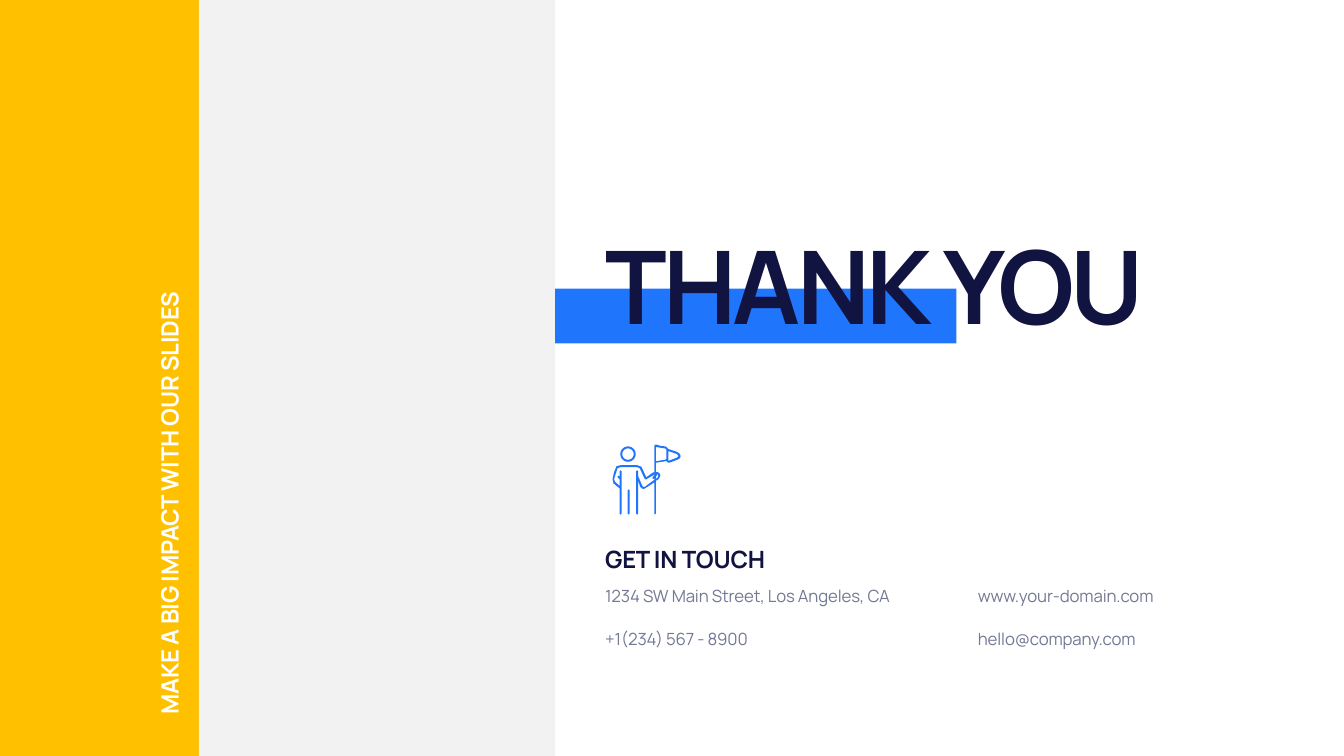
from math import cos, pi, sin

from pptx import Presentation
from pptx.dml.color import RGBColor
from pptx.enum.shapes import MSO_SHAPE as Shape
from pptx.enum.text import MSO_ANCHOR as Anchor, MSO_AUTO_SIZE as AutoSize, PP_ALIGN as Align
from pptx.util import Pt

WIDTH, HEIGHT = 1919.52, 1080
YELLOW, GREY, BLUE, NAVY, SLATE, WHITE = (
    "FFC000", "F2F2F2", "2075FD", "111340", "747994", "FFFFFF")
BAND_WIDTH, PANEL_WIDTH = 284, 509
MARGIN = 857.1

TITLE = {"size": Pt(145), "bold": True, "color": NAVY, "spacing": -5}
HEADING = {"size": Pt(34), "bold": True, "color": NAVY, "spacing": -0.3}
SIDE_HEADING = {**HEADING, "color": WHITE}
DETAIL = {"size": Pt(24), "color": SLATE, "spacing": -0.2}

# Flag bearer outlines, on a grid 135 wide and 139 high
BODY_AND_FLAG = (
    (86, 0), (91, 1), (92, 2), (106, 4), (111, 9), (129, 15), (134, 19), (135, 23),
    (134, 27), (129, 30), (113, 36), (111, 36), (109, 35), (107, 33), (106, 33), (87, 36),
    (86, 36), (86, 54), (90, 55), (93, 57), (95, 61), (94, 64), (91, 69), (86, 72),
    (86, 137), (84, 139), (83, 137), (83, 75), (66, 86), (62, 88), (60, 88), (55, 84),
    (51, 72), (51, 137), (49, 139), (47, 137), (47, 53), (49, 51), (51, 53), (51, 63),
    (59, 82), (61, 84), (64, 84), (83, 70), (83, 67), (81, 68), (80, 68), (79, 67),
    (80, 64), (84, 60), (84, 59), (67, 69), (65, 69), (64, 68), (58, 56), (57, 53),
    (54, 47), (49, 45), (16, 45), (10, 47), (7, 56), (3, 69), (5, 74), (14, 82),
    (14, 69), (10, 65), (10, 62), (12, 62), (14, 64), (14, 53), (16, 51), (18, 53),
    (18, 137), (16, 139), (14, 137), (14, 87), (2, 77), (0, 69), (3, 55), (8, 43),
    (16, 41), (49, 41), (57, 44), (61, 52), (67, 65), (81, 55), (83, 55), (83, 3), (84, 1))
INNER_LEG = ((32, 89), (34, 91), (34, 137), (32, 139), (30, 137), (30, 91))
GRIP = ((88, 58), (88, 61), (86, 64), (86, 68), (89, 66), (91, 63), (90, 60))
FLAG = ((87, 5), (86, 5), (86, 33), (87, 33), (105, 30), (107, 28), (107, 10), (105, 8))
FLAG_TAIL = ((111, 13), (111, 32), (112, 32), (128, 26), (131, 23), (128, 19))


def color(hex_value):
    return RGBColor.from_string(hex_value)


def circle(center_x, center_y, radius, steps=36):
    angles = [2 * pi * step / steps for step in range(steps)]
    return [(center_x + radius * cos(angle), center_y + radius * sin(angle))
            for angle in angles]


def style_fill(shape, fill):
    shape.shadow.inherit = False
    shape.fill.solid()
    shape.fill.fore_color.rgb = color(fill)
    shape.line.fill.background()


def add_rectangle(slide, box, fill):
    style_fill(slide.shapes.add_shape(Shape.RECTANGLE, *map(Pt, box)), fill)


def add_text(slide, box, text, style, anchor=Anchor.BOTTOM, rotation=0, **paragraph_values):
    shape = slide.shapes.add_textbox(*map(Pt, box))
    shape.rotation = rotation
    frame = shape.text_frame
    frame.word_wrap = True
    frame.auto_size = AutoSize.SHAPE_TO_FIT_TEXT
    frame.vertical_anchor = anchor
    paragraph = frame.paragraphs[0]
    for name, value in paragraph_values.items():
        setattr(paragraph, name, value)
    run = paragraph.add_run()
    run.text = text
    run.font.name = "Manrope"
    for name, value in style.items():
        if name == "color":
            run.font.color.rgb = color(value)
        elif name == "spacing":
            run._r.get_or_add_rPr().set("spc", str(round(value * 100)))
        else:
            setattr(run.font, name, value)


def add_flag_bearer(slide, left, top):
    outlines = (BODY_AND_FLAG, INNER_LEG, GRIP, FLAG, FLAG_TAIL,
                circle(30.7, 19, 15.2), circle(30.7, 19, 11.3))
    # Ten steps per grid unit keep the circles round
    builder = slide.shapes.build_freeform(scale=Pt(0.72) / 10)
    for outline in outlines:
        points = [(round(x * 10), round(y * 10)) for x, y in outline]
        builder.move_to(*points[0])
        builder.add_line_segments(points[1:], close=True)
    shape = builder.convert_to_shape()
    shape.left, shape.top = Pt(left), Pt(top)
    shape.width, shape.height = Pt(97.2), Pt(100.08)
    style_fill(shape, BLUE)


def add_side_panels(slide, left, top, height):
    add_rectangle(slide, (left, top, BAND_WIDTH, height), YELLOW)
    add_rectangle(slide, (left + BAND_WIDTH, top, PANEL_WIDTH, height), GREY)
    add_text(slide, (left - 119.52, top + 642.9, 721.44, 48.24),
             "MAKE A BIG IMPACT WITH OUR SLIDES", SIDE_HEADING, rotation=270)


def add_title(slide, left, top):
    add_rectangle(slide, (left, top + 100, 573.12, 78), BLUE)
    add_text(slide, (MARGIN, top + 0.7, 854.64, 182.88), "THANK YOU", TITLE,
             alignment=Align.JUSTIFY)


def add_contact(slide, left, top):
    add_flag_bearer(slide, left + 17.7, top)
    add_text(slide, (left, top + 139.68, 464.4, 48.24), "GET IN TOUCH", HEADING)
    columns = (
        (0, 464.4, ("1234 SW Main Street, Los Angeles, CA", "+1(234) 567 - 8900")),
        (532.5, 410.4, ("www.your-domain.com", "hello@company.com")),
    )
    for offset, width, details in columns:
        for row, detail in enumerate(details):
            add_text(slide, (left + offset, top + 190.8 + row * 61.92, width, 41.76),
                     detail, DETAIL, Anchor.TOP, line_spacing=Pt(36))


def main():
    presentation = Presentation()
    presentation.slide_width, presentation.slide_height = Pt(WIDTH), Pt(HEIGHT)
    slide = presentation.slides.add_slide(presentation.slide_layouts[6])
    add_side_panels(slide, 0, 0, HEIGHT)
    add_title(slide, 792.72, 312.48)
    add_contact(slide, MARGIN, 635.04)
    presentation.save("out.pptx")


if __name__ == "__main__":
    main()
